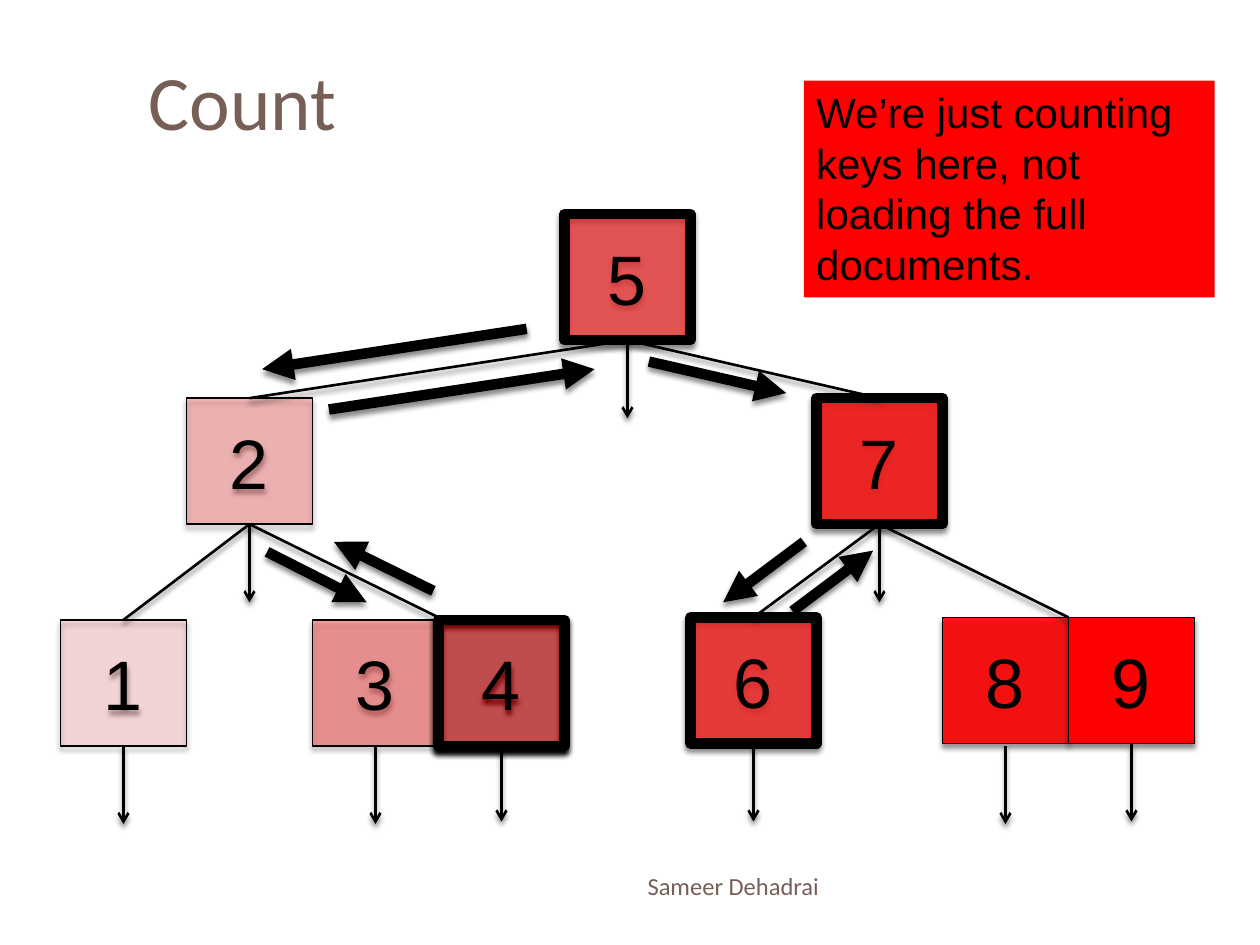
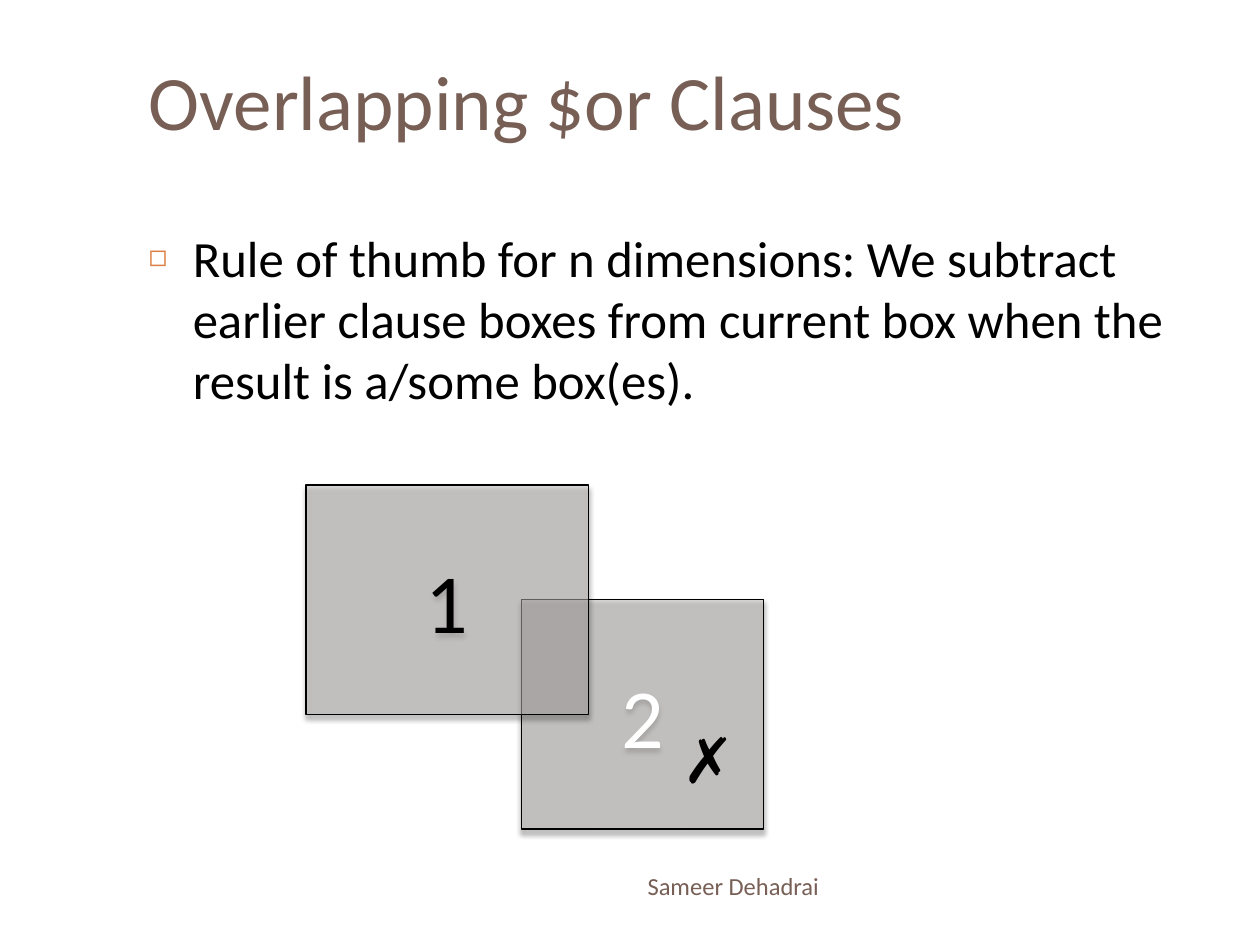
from lxml import etree
from pptx import Presentation
from pptx import util as u
from pptx.dml.color import RGBColor
from pptx.enum import shapes, text
from pptx.oxml import ns

EMU_PER_PX = 9144  # 100 px to the inch

BLACK = RGBColor(0x00, 0x00, 0x00)
WHITE = RGBColor(0xFF, 0xFF, 0xFF)
RED = RGBColor(0xFF, 0x00, 0x00)
GRAY = RGBColor(0xC0, 0xBA, 0xBA)
BROWN = RGBColor(0x77, 0x5F, 0x55)
ORANGE = RGBColor(0xDD, 0x80, 0x47)

HEADING_FONT = "Calibri"
DIAGRAM_FONT = "Arial"
THIN, EDGE, THICK = 0.79, 1.5, 6

LEFT, MIDDLE, TOP = text.PP_ALIGN.LEFT, text.MSO_ANCHOR.MIDDLE, text.MSO_ANCHOR.TOP
CENTER, RIGHT = text.PP_ALIGN.CENTER, text.PP_ALIGN.RIGHT


def px(length):
    return u.Emu(length * EMU_PER_PX)


def add_xml(parent, tag, **attributes):
    return etree.SubElement(parent, ns.qn(tag), attributes)


class Deck:
    """Holds the presentation, its shared style and the current slide."""

    def __init__(self):
        self.presentation = Presentation()
        self.presentation.slide_width = px(1000)
        self.presentation.slide_height = px(750)
        self.slide = None

    def new_slide(self, title, layout):
        self.slide = self.presentation.slides.add_slide(
            self.presentation.slide_layouts[layout])
        shape = self.slide.shapes.title
        self.place(shape, 108, 25, 892, 108)
        self.set_text(shape, title, 44, HEADING_FONT, BROWN, LEFT, MIDDLE)

    def place(self, shape, left, top, width, height):
        shape.left, shape.top = px(left), px(top)
        shape.width, shape.height = px(width), px(height)

    def set_text(self, shape, words, size, font, color, align, anchor, wrap=True,
                 fit=text.MSO_AUTO_SIZE.NONE):
        frame = shape.text_frame
        frame.text = words
        frame.word_wrap = wrap
        frame.auto_size = fit
        frame.vertical_anchor = anchor
        paragraph = frame.paragraphs[0]
        paragraph.alignment = align
        for run in paragraph.runs:
            run.font.size = u.Pt(size)
            run.font.name = font
            run.font.color.rgb = color

    def bullet(self, words):
        shape = self.slide.placeholders[1]
        self.place(shape, 108, 175, 892, 492)
        self.set_text(shape, words, 29, HEADING_FONT, BLACK, LEFT, TOP)
        paragraph = shape.text_frame.paragraphs[0]
        properties = paragraph._p.get_or_add_pPr()
        properties.set("marL", str(px(35)))
        properties.set("indent", str(px(-35)))
        bullet_color = add_xml(properties, "a:buClr")
        add_xml(bullet_color, "a:srgbClr", val=str(ORANGE))
        add_xml(properties, "a:buSzPct", val="60000")
        add_xml(properties, "a:buChar", char="◻")
        paragraph.space_before = u.Pt(0)

    def shadow(self, shape):
        """Add a soft shadow below; the line must be formatted first."""
        effects = add_xml(shape._element.spPr, "a:effectLst")
        outer = add_xml(effects, "a:outerShdw", blurRad=str(u.Pt(3)),
                        dist=str(u.Pt(2.4)), dir="5400000", rotWithShape="0")
        color = add_xml(outer, "a:srgbClr", val=str(BLACK))
        add_xml(color, "a:alpha", val="45000")

    def rectangle(self, left, top, width, height, fill):
        shape = self.slide.shapes.add_shape(
            shapes.MSO_SHAPE.RECTANGLE, px(left), px(top), px(width), px(height))
        shape.fill.solid()
        shape.fill.fore_color.rgb = fill
        return shape

    def box(self, left, top, width, height, label, fill, opacity, line_width,
            size, font, color=BLACK):
        shape = self.rectangle(left, top, width, height, fill)
        if opacity < 100:
            fill_color = shape._element.spPr.find(".//" + ns.qn("a:srgbClr"))
            add_xml(fill_color, "a:alpha", val=str(opacity * 1000))
        shape.line.color.rgb = BLACK
        shape.line.width = u.Pt(line_width)
        self.shadow(shape)
        self.set_text(shape, label, size, font, color, CENTER, MIDDLE)

    def line(self, start, end, width=EDGE, arrowhead=None):
        connector = self.slide.shapes.add_connector(
            shapes.MSO_CONNECTOR.STRAIGHT, *map(px, start + end))
        connector.line.color.rgb = BLACK
        connector.line.width = u.Pt(width)
        if arrowhead:
            line_properties = connector._element.spPr.find(ns.qn("a:ln"))
            add_xml(line_properties, "a:tailEnd", type=arrowhead)
        self.shadow(connector)

    def note(self, left, top, width, height, words):
        shape = self.rectangle(left, top, width, height, RED)
        shape.line.fill.background()
        shape.shadow.inherit = False
        self.set_text(shape, words, 24, DIAGRAM_FONT, BLACK, LEFT, TOP,
                      fit=text.MSO_AUTO_SIZE.SHAPE_TO_FIT_TEXT)

    def textbox(self, left, top, width, height, words, size, font, color,
                align, anchor, wrap=True):
        shape = self.slide.shapes.add_textbox(
            px(left), px(top), px(width), px(height))
        self.set_text(shape, words, size, font, color, align, anchor, wrap)

    def footer(self):
        self.textbox(67, 683, 593, 40, "Sameer Dehadrai", 14, HEADING_FONT,
                     BROWN, RIGHT, MIDDLE)


def key_center(key):
    return 100 * key - 2


def count_slide(deck):
    deck.new_slide("Count", layout=5)

    key_tops = [492, 316, 492, 492, 170, 490, 316, 490, 490]
    visited_keys = {4, 5, 6, 7}
    for key, top in enumerate(key_tops, start=1):
        opacity = 100 if key == 9 else 1 + 11 * key
        deck.box(key_center(key) - 50, top, 100, 100, str(key), RED, opacity,
                 THICK if key in visited_keys else THIN, 40, DIAGRAM_FONT)

    tree_edges = [
        ((98, 492), (198, 416)),
        ((198, 316), (498, 270)),
        ((498, 270), (698, 316)),
        ((198, 416), (348, 490)),
        ((698, 416), (848, 490)),
        ((598, 490), (698, 416)),
    ]
    for start, end in tree_edges:
        deck.line(start, end)

    pointer_tops = [592, 416, 592, 590, 270, 590, 416, 592, 590]
    for key, top in enumerate(pointer_tops, start=1):
        x = key_center(key)
        deck.line((x, top), (x, top + 62), arrowhead="arrow")

    traversal = [
        ((418, 261), (208, 293)),
        ((212, 438), (291, 478)),
        ((344, 469), (265, 430)),
        ((261, 325), (472, 293)),
        ((515, 287), (624, 312)),
        ((638, 430), (574, 478)),
        ((629, 485), (693, 437)),
    ]
    for start, end in traversal:
        deck.line(start, end, THICK, "triangle")

    deck.note(638, 64, 326, 172,
              "We’re just counting keys here, not loading the full documents.")
    deck.footer()


def overlapping_clauses_slide(deck):
    deck.new_slide("Overlapping $or Clauses", layout=1)
    deck.bullet("Rule of thumb for n dimensions: We subtract earlier clause "
                "boxes from current box when the result is a/some box(es).")
    deck.box(414, 476, 192, 182, "2", GRAY, 50, THIN, 48, HEADING_FONT, WHITE)
    deck.textbox(532, 567, 50, 71, "✗", 36, DIAGRAM_FONT, BLACK, LEFT, TOP,
                 wrap=False)
    deck.box(243, 385, 224, 182, "1", GRAY, 50, THIN, 48, HEADING_FONT)
    deck.footer()


def main():
    deck = Deck()
    count_slide(deck)
    overlapping_clauses_slide(deck)
    deck.presentation.save("out.pptx")


if __name__ == "__main__":
    main()
